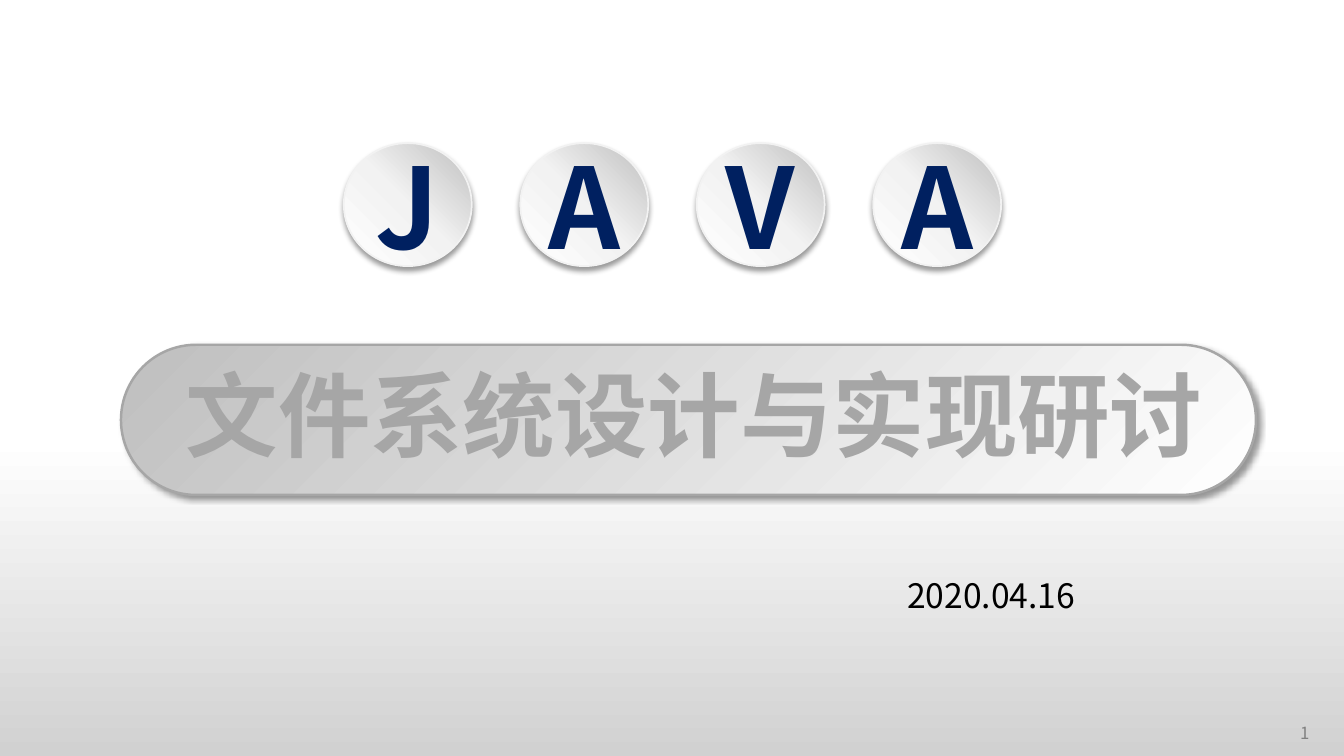
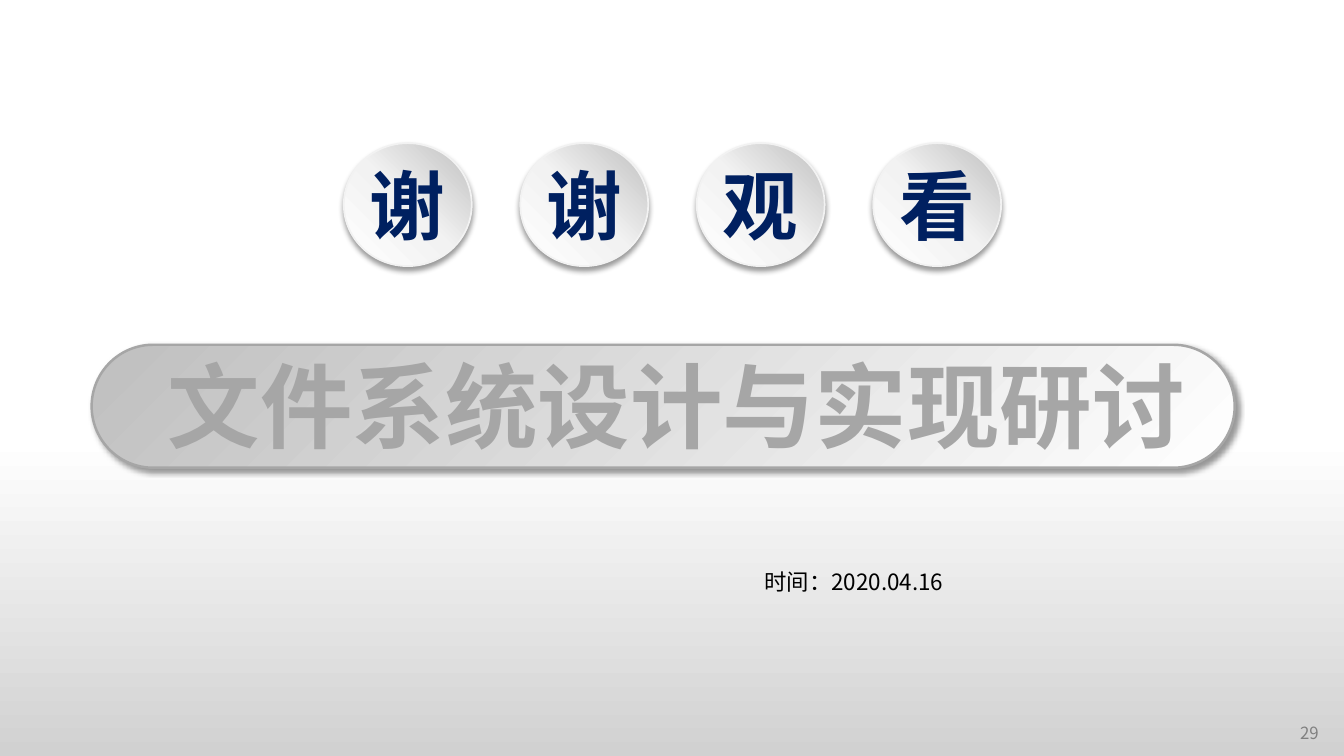
from typing import NamedTuple

from lxml.etree import SubElement
from pptx import Presentation
from pptx.dml.color import RGBColor
from pptx.enum.shapes import MSO_SHAPE as Shape
from pptx.enum.text import MSO_ANCHOR as Anchor, MSO_AUTO_SIZE as AutoSize, PP_ALIGN as Align
from pptx.oxml.ns import qn
from pptx.util import Inches, Pt

WIDTH, HEIGHT = Inches(13.33), Inches(7.5)
FONT = "Noto Sans CJK SC"
COLORS = {
    "white": "FFFFFF", "black": "000000", "navy": "002060", "title": "A6A6A6",
    "number": "808080", "silver": "BFBFBF", "pale": "F2F2F2", "floor": "D1D1D1",
}


class Box(NamedTuple):
    left: float
    top: float
    width: float
    height: float

    def emu(self) -> tuple[int, ...]:
        return tuple(round(share * side / 100)
                     for share, side in zip(self, (WIDTH, HEIGHT) * 2))


class Look(NamedTuple):
    stops: tuple[tuple[int, str], ...]
    angle: int
    line: str
    line_width: float
    shadow_angle: int


class TextStyle(NamedTuple):
    size: int
    color: str
    bold: bool = False
    paragraph: dict = {}


class Cover(NamedTuple):
    letters: str
    letter_size: int
    pill: Box
    title: Box
    date: str
    date_box: Box
    date_size: int
    number: int


BACKDROP = ((0, "white"), (50, "white"), (58, "white"), (100, "floor"))
PILL = Look(((0, "silver"), (100, "white")), 45, "title", 1.75, 45)
DISC = Look(((0, "white"), (50, "pale"), (100, "silver")), 315, "pale", 1.25, 90)
DISC_BOX, DISC_PITCH = Box(25.58, 18.93, 9.52, 16.27), 13.13
NUMBER_BOX = Box(96, 94.93, 3.83, 3.87)
TITLE = "文件系统设计与实现研讨"
TITLE_STYLE = TextStyle(66, "title", True, {
    "alignment": Align.CENTER, "line_spacing": Pt(48), "space_after": Pt(10)})
DATE_FORMAT = {"alignment": Align.CENTER, "line_spacing": 1.5}
COVERS = (
    Cover("JAVA", 80, Box(9, 45.6, 84.45, 19.87), Box(9.9, 52.53, 83.48, 13.47),
          "2020.04.16", Box(58.75, 72.67, 30, 8.53), 24, 1),
    Cover("谢谢观看", 54, Box(6.82, 45.6, 85.05, 16.27), Box(6.82, 51.33, 87, 21.87),
          "时间：2020.04.16", Box(48.53, 72.67, 30, 6.13), 16, 29),
)


def set_gradient(fill, element, stops, angle: int) -> None:
    fill.gradient()
    fill.gradient_angle = -angle % 360
    stop_list = next(element.iter(qn("a:gsLst")))
    for old in list(stop_list):
        stop_list.remove(old)
    for position, color in stops:
        stop = SubElement(stop_list, qn("a:gs"), pos=str(position * 1000))
        SubElement(stop, qn("a:srgbClr"), val=COLORS[color])


def write(tf, text: str, style: TextStyle) -> None:
    p = tf.paragraphs[0]
    for name, value in style.paragraph.items():
        setattr(p, name, value)
    r = p.add_run()
    r.text = text
    for name, value in {"name": FONT, "size": Pt(style.size), "bold": style.bold}.items():
        setattr(r.font, name, value)
    r.font.color.rgb = RGBColor.from_string(COLORS[style.color])
    SubElement(r.font._element, qn("a:ea"), typeface=FONT)


def add_text(s, box: Box, text: str, style: TextStyle) -> None:
    tf = s.shapes.add_textbox(*box.emu()).text_frame
    tf.word_wrap = True
    tf.auto_size = AutoSize.NONE
    write(tf, text, style)


def add_plate(s, kind: Shape, box: Box, look: Look):
    sp = s.shapes.add_shape(kind, *box.emu())
    set_gradient(sp.fill, sp.element, look.stops, look.angle)
    sp.line.color.rgb = RGBColor.from_string(COLORS[look.line])
    sp.line.width = Pt(look.line_width)
    sp.shadow.inherit = False
    effects = next(sp.element.iter(qn("a:effectLst")))
    shadow = SubElement(effects, qn("a:outerShdw"), blurRad=str(Pt(4)), dist=str(Pt(3)),
                        dir=str(look.shadow_angle * 60000), algn="ctr", rotWithShape="0")
    color = SubElement(shadow, qn("a:srgbClr"), val=COLORS["black"])
    SubElement(color, qn("a:alpha"), val="40000")
    return sp


def add_disc(s, index: int, letter: str, size: int) -> None:
    box = DISC_BOX._replace(left=DISC_BOX.left + index * DISC_PITCH)
    tf = add_plate(s, Shape.OVAL, box, DISC).text_frame
    frame = dict.fromkeys(("margin_left", "margin_top", "margin_right", "margin_bottom"), 0)
    frame |= {"word_wrap": False, "vertical_anchor": Anchor.MIDDLE}
    for name, value in frame.items():
        setattr(tf, name, value)
    write(tf, letter, TextStyle(size, "navy", True, {"alignment": Align.CENTER}))


def add_cover(prs, cover: Cover) -> None:
    s = prs.slides.add_slide(prs.slide_layouts[6])
    add_text(s, NUMBER_BOX, str(cover.number), TextStyle(12, "number"))
    add_plate(s, Shape.ROUNDED_RECTANGLE, cover.pill, PILL).adjustments[0] = 0.5
    add_text(s, cover.title, TITLE, TITLE_STYLE)
    add_text(s, cover.date_box, cover.date,
             TextStyle(cover.date_size, "black", paragraph=DATE_FORMAT))
    for index, letter in enumerate(cover.letters):
        add_disc(s, index, letter, cover.letter_size)


def main() -> None:
    prs = Presentation()
    prs.slide_width, prs.slide_height = WIDTH, HEIGHT
    master = prs.slide_master
    set_gradient(master.background.fill, master.element, BACKDROP, 90)
    for cover in COVERS:
        add_cover(prs, cover)
    prs.save("out.pptx")


if __name__ == "__main__":
    main()
